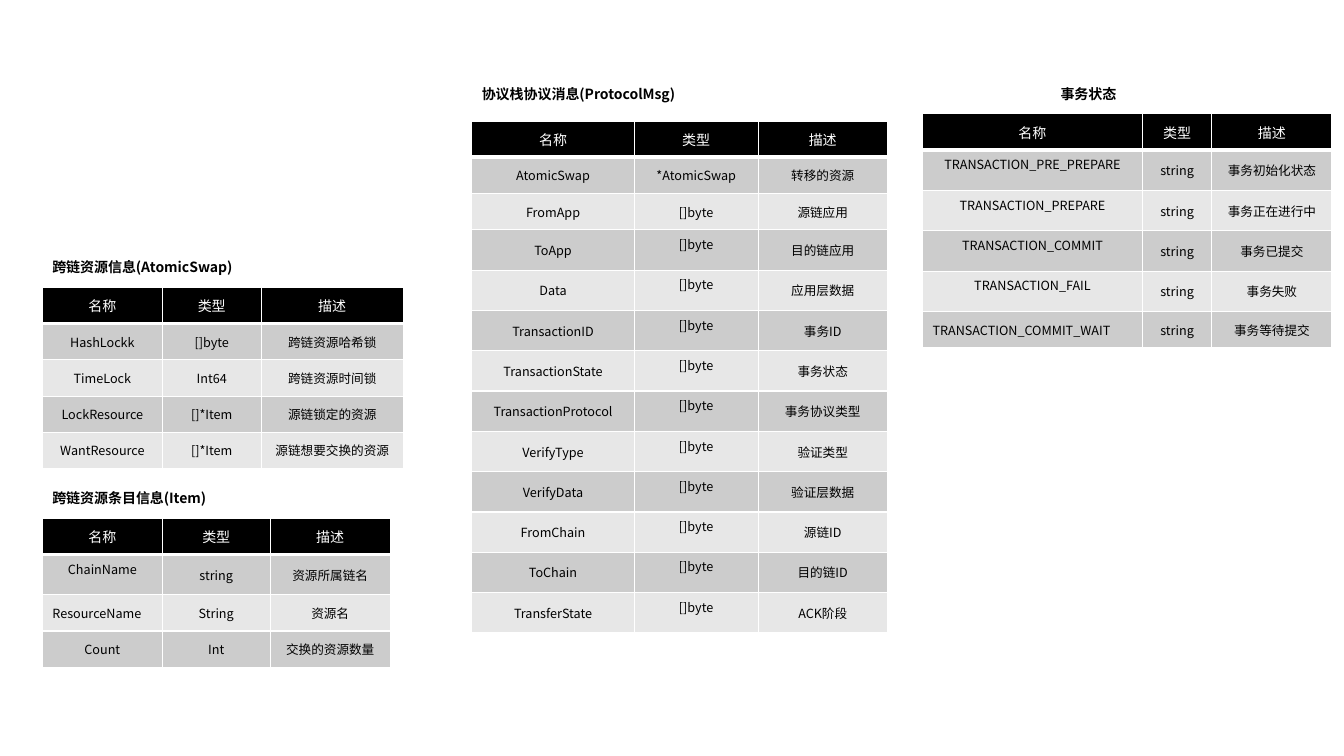
from dataclasses import dataclass

from lxml import etree
from pptx import Presentation, util as u
from pptx.dml.color import RGBColor
from pptx.enum import text
from pptx.oxml.ns import qn


@dataclass(frozen=True)
class Theme:
    font: str = "Noto Sans CJK SC"
    ink: str = "000000"
    paper: str = "FFFFFF"
    bands: tuple = ("CCCCCC", "E7E7E7")
    head_size: int = 10
    body_size: int = 9
    rule: int = 1
    head_rule: int = 3


THEME = Theme()
SLIDE_W, SLIDE_H = 13.33, 7.5
GRID_COLS, GRID_ROWS = 133.3, 75
HEADER = ("名称", "类型", "描述")
ROW, TALL_ROW = 3.6, 4.0        # heights in grid rows
TITLE_H = 2.7
RAISED_INSET = 1.7              # bottom inset that lifts the text of a tall row


def across(columns):
    return u.Inches(columns * SLIDE_W / GRID_COLS)


def down(rows):
    return u.Inches(rows * SLIDE_H / GRID_ROWS)


def write(frame, words, size, color, bold=False, align=text.PP_ALIGN.LEFT):
    paragraph = frame.paragraphs[0]
    paragraph.alignment = align
    run = paragraph.add_run()
    run.text = words
    font = run.font
    font.size, font.bold, font.name = u.Pt(size), bold, THEME.font
    font.color.rgb = RGBColor.from_string(color)
    etree.SubElement(run._r.get_or_add_rPr(), qn("a:ea"), typeface=THEME.font)


def rule_cell(cell, bottom):
    """Draw white borders; only the bottom one varies in weight."""
    props = cell._tc.get_or_add_tcPr()
    weights = {"lnL": THEME.rule, "lnR": THEME.rule, "lnT": THEME.rule, "lnB": bottom}
    for place, (side, weight) in enumerate(weights.items()):
        line = etree.Element(qn("a:" + side), w=str(u.Pt(weight)))
        fill = etree.SubElement(line, qn("a:solidFill"))
        etree.SubElement(fill, qn("a:srgbClr"), val=THEME.paper)
        props.insert(place, line)


def fill_cell(cell, words, color, fill, size, bottom, align):
    cell.fill.solid()
    cell.fill.fore_color.rgb = RGBColor.from_string(fill)
    cell.vertical_anchor = text.MSO_ANCHOR.MIDDLE
    write(cell.text_frame, words, size, color, align=align)
    rule_cell(cell, bottom)


def add_title(slide, words, left, top, width):
    box = slide.shapes.add_textbox(across(left), down(top), across(width), down(TITLE_H))
    box.text_frame.word_wrap = True
    write(box.text_frame, words, THEME.head_size, THEME.ink, bold=True)


def add_field_table(slide, left, top, widths, fields, raised=(), raised_column=0, left_row=None):
    """Raised rows are taller, with the text of one column lifted."""
    rows = [HEADER, *fields]
    heights = [TALL_ROW if r in raised else ROW for r in range(len(rows))]
    table = slide.shapes.add_table(len(rows), len(widths), across(left), down(top),
                                   across(sum(widths)), down(sum(heights))).table
    table.horz_banding = False
    for column, width in zip(table.columns, widths):
        column.width = across(width)
    for r, (entries, height) in enumerate(zip(rows, heights)):
        table.rows[r].height = down(height)
        if r == 0:
            look = (THEME.paper, THEME.ink, THEME.head_size, THEME.head_rule)
        else:
            look = (THEME.ink, THEME.bands[(r - 1) % 2], THEME.body_size, THEME.rule)
        for c, words in enumerate(entries):
            at_left = r == left_row and c == 0
            align = text.PP_ALIGN.LEFT if at_left else text.PP_ALIGN.CENTER
            fill_cell(table.cell(r, c), words, *look, align)
        if r in raised:
            table.cell(r, raised_column).margin_bottom = down(RAISED_INSET)


def add_section(slide, title, box, widths, fields, title_left=0, title_width=26.2,
                table_drop=3.3, **layout):
    """Place a title and its table from the left, top corner given as box."""
    left, top = box
    add_title(slide, title, left + title_left, top, title_width)
    add_field_table(slide, left, top + table_drop, widths, fields, **layout)


PROTOCOL_FIELDS = [
    ("AtomicSwap", "*AtomicSwap", "转移的资源"),
    *((name, "[]byte", meaning) for name, meaning in (
        ("FromApp", "源链应用"),
        ("ToApp", "目的链应用"),
        ("Data", "应用层数据"),
        ("TransactionID", "事务ID"),
        ("TransactionState", "事务状态"),
        ("TransactionProtocol", "事务协议类型"),
        ("VerifyType", "验证类型"),
        ("VerifyData", "验证层数据"),
        ("FromChain", "源链ID"),
        ("ToChain", "目的链ID"),
        ("TransferState", "ACK阶段"),
    )),
]
SWAP_FIELDS = [
    ("HashLockk", "[]byte", "跨链资源哈希锁"),
    ("TimeLock", "Int64", "跨链资源时间锁"),
    ("LockResource", "[]*Item", "源链锁定的资源"),
    ("WantResource", "[]*Item", "源链想要交换的资源"),
]
ITEM_FIELDS = [
    ("ChainName", "string", "资源所属链名"),
    ("ResourceName", "String", "资源名"),
    ("Count", "Int", "交换的资源数量"),
]
STATES = [("TRANSACTION_" + state, "string", meaning) for state, meaning in (
    ("PRE_PREPARE", "事务初始化状态"),
    ("PREPARE", "事务正在进行中"),
    ("COMMIT", "事务已提交"),
    ("FAIL", "事务失败"),
    ("COMMIT_WAIT", "事务等待提交"),
)]


def main():
    deck = Presentation()
    deck.slide_width, deck.slide_height = u.Inches(SLIDE_W), u.Inches(SLIDE_H)
    slide = deck.slides.add_slide(deck.slide_layouts[6])
    add_section(slide, "协议栈协议消息(ProtocolMsg)", (46.8, 8), (16.1, 12.3, 12.8),
                PROTOCOL_FIELDS, table_drop=4, raised=range(3, 13), raised_column=1)
    add_section(slide, "跨链资源信息(AtomicSwap)", (4.2, 25.2), (11.9, 9.8, 14.1), SWAP_FIELDS)
    add_section(slide, "跨链资源条目信息(Item)", (4.2, 48.1), (11.9, 10.7, 11.9),
                ITEM_FIELDS, raised=(1,), left_row=2)
    add_section(slide, "事务状态", (91.5, 8), (21.8, 6.9, 11.9), STATES,
                title_left=12.7, title_width=8.5, raised=range(1, 5), left_row=5)
    deck.save("out.pptx")


if __name__ == "__main__":
    main()
